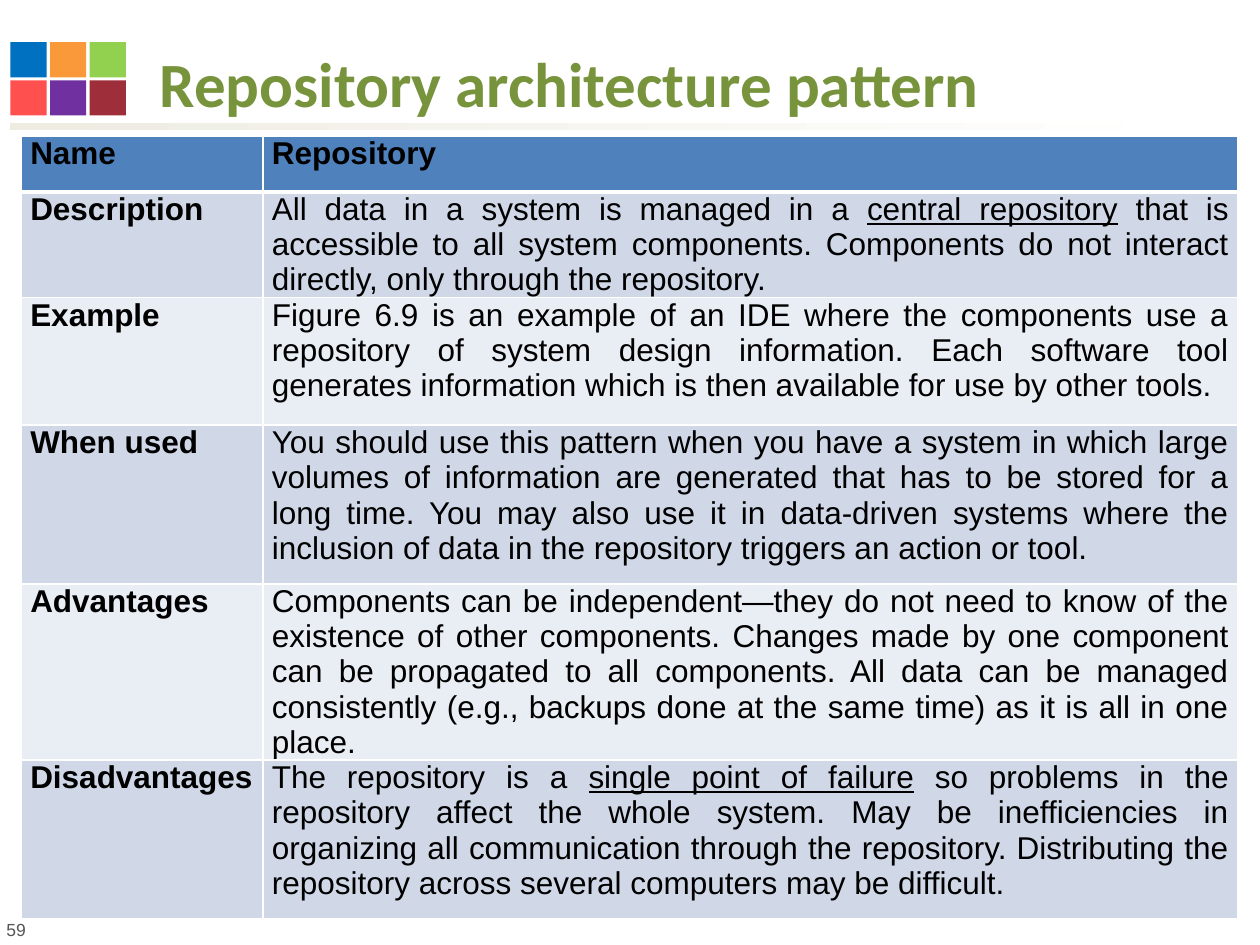
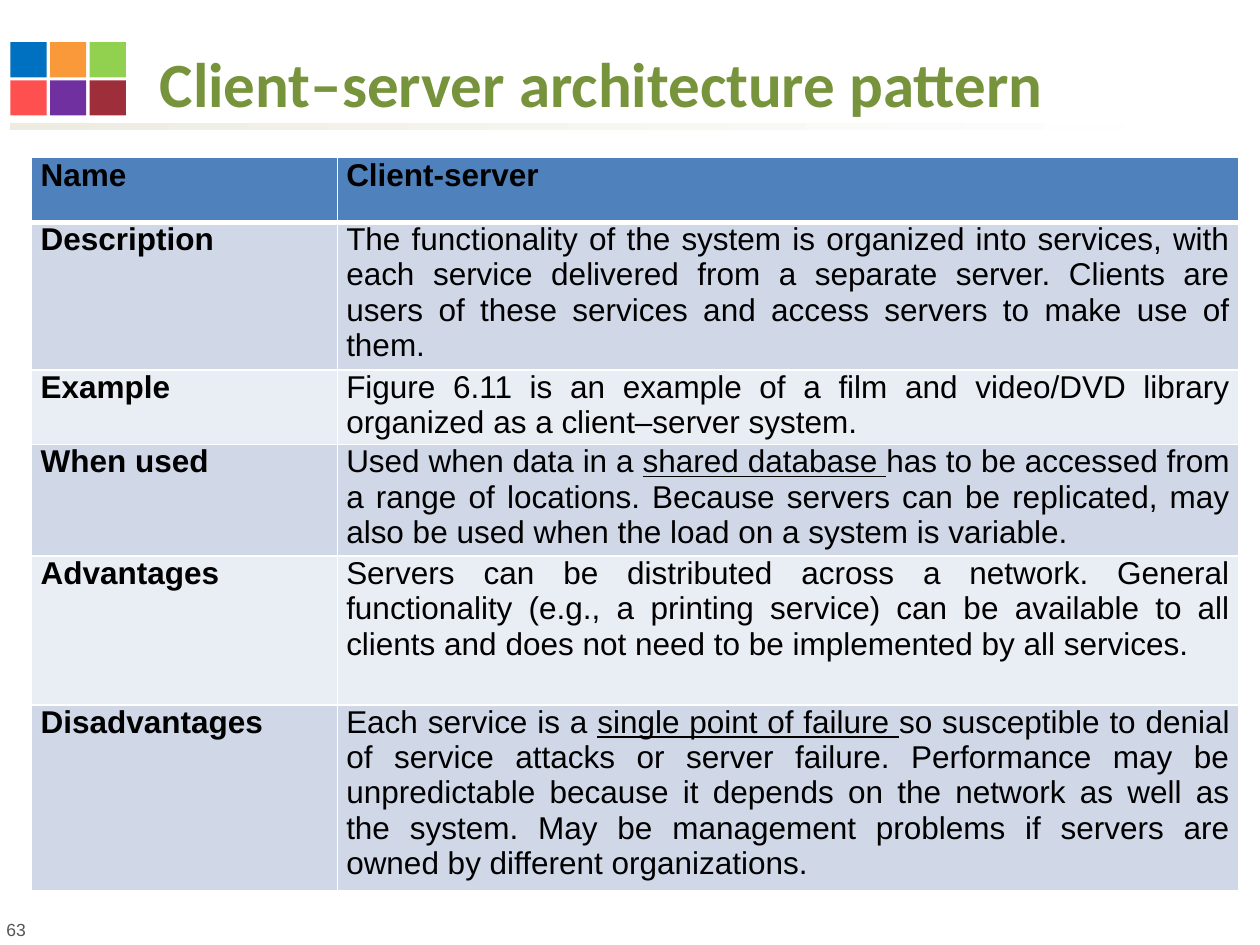
import pptx
import pptx.dml.color
import pptx.enum.shapes
import pptx.enum.text
import pptx.oxml
import pptx.oxml.ns
import pptx.util

Cm = pptx.util.Cm
Pt = pptx.util.Pt
RGB = pptx.dml.color.RGBColor
ALIGN = pptx.enum.text.PP_ALIGN
ANCHOR = pptx.enum.text.MSO_ANCHOR
RECTANGLE = pptx.enum.shapes.MSO_SHAPE.RECTANGLE

# Text between underscores is underlined.
SLIDES = [
    {
        "title": "Repository architecture pattern",
        "number": "59",
        "at": (0.43, 2.75),
        "columns": (4.87, 19.65),
        "heights": (1.12, 1.93, 2.57, 3.2, 3.2, 3.2),
        "rows": [
            ("Name", "Repository"),
            ("Description",
             "All data in a system is managed in a _central repository_ that is "
             "accessible to all system components. Components do not interact "
             "directly, only through the repository."),
            ("Example",
             "Figure 6.9 is an example of an IDE where the components use a "
             "repository of system design information. Each software tool "
             "generates information which is then available for use by other tools."),
            ("When used",
             "You should use this pattern when you have a system in which large "
             "volumes of information are generated that has to be stored for a "
             "long time. You may also use it in data-driven systems where the "
             "inclusion of data in the repository triggers an action or tool."),
            ("Advantages",
             "Components can be independent—they do not need to know of the "
             "existence of other components. Changes made by one component can "
             "be propagated to all components. All data can be managed "
             "consistently (e.g., backups done at the same time) as it is all "
             "in one place."),
            ("Disadvantages",
             "The repository is a _single point of failure_ so problems in the "
             "repository affect the whole system. May be inefficiencies in "
             "organizing all communication through the repository. Distributing "
             "the repository across several computers may be difficult."),
        ],
    },
    {
        "title": "Client–server architecture pattern",
        "number": "63",
        "at": (0.64, 3.18),
        "columns": (6.16, 18.17),
        "heights": (1.3, 2.98, 1.5, 2.25, 3, 3.75),
        "rows": [
            ("Name", "Client-server"),
            ("Description",
             "The functionality of the system is organized into services, with "
             "each service delivered from a separate server. Clients are users "
             "of these services and access servers to make use of them."),
            ("Example",
             "Figure 6.11 is an example of a film and video/DVD library "
             "organized as a client–server system."),
            ("When used",
             "Used when data in a _shared database _has to be accessed from a "
             "range of locations. Because servers can be replicated, may also "
             "be used when the load on a system is variable."),
            ("Advantages",
             "Servers can be distributed across a network. General "
             "functionality (e.g., a printing service) can be available to all "
             "clients and does not need to be implemented by all services."),
            ("Disadvantages",
             "Each service is a _single point of failure _so susceptible to "
             "denial of service attacks or server failure. Performance may be "
             "unpredictable because it depends on the network as well as the "
             "system. May be management problems if servers are owned by "
             "different organizations."),
        ],
    },
]

WHITE = RGB(0xFF, 0xFF, 0xFF)
BLACK = RGB(0, 0, 0)
TITLE_GREEN = RGB(0x77, 0x93, 0x3C)
NUMBER_GREY = RGB(0x55, 0x55, 0x55)
RULE_BEIGE = RGB(0xEE, 0xEC, 0xE1)
HEADER_BLUE = RGB(0x4F, 0x81, 0xBD)
BANDS = (RGB(0xE9, 0xED, 0xF4), RGB(0xD0, 0xD8, 0xE8))
TILES = [
    (RGB(0x00, 0x70, 0xC0), RGB(0xF9, 0x99, 0x39), RGB(0x92, 0xD0, 0x50)),
    (RGB(0xFF, 0x50, 0x50), RGB(0x70, 0x30, 0xA0), RGB(0x9E, 0x2E, 0x39)),
]
TABLE_LINE = Pt(20.15)  # fixed, so that rows grow only as far as their text


def write(tf, text, size=18, font="Arial", color=BLACK, bold=False,
          align=ALIGN.LEFT, line_spacing=None):
    p = tf.paragraphs[0]
    p.alignment = align
    p.line_spacing = line_spacing
    for i, part in enumerate(text.split("_")):
        r = p.add_run()
        r.text = part
        r.font.size = Pt(size)
        r.font.name = font
        r.font.bold = bold
        r.font.underline = i % 2 == 1
        r.font.color.rgb = color


def add_text(s, text, left, top, width, height, anchor=ANCHOR.TOP, **style):
    tf = s.shapes.add_textbox(Cm(left), Cm(top), Cm(width), Cm(height)).text_frame
    tf.word_wrap = True
    tf.vertical_anchor = anchor
    write(tf, text, **style)


def add_rectangle(s, left, top, width, height):
    sp = s.shapes.add_shape(RECTANGLE, Cm(left), Cm(top), Cm(width), Cm(height))
    sp.shadow.inherit = False
    sp.line.fill.background()
    return sp


def add_frame(s, title, number):
    """Draw what every slide shares: rule, tiles, title and number."""
    fill = add_rectangle(s, 0.2, 2.49, 24.08, 0.13).fill
    fill.gradient()
    fill.gradient_angle = 0
    for stop, color in zip(fill.gradient_stops, (RULE_BEIGE, WHITE)):
        stop.color.rgb = color
    for row, colors in enumerate(TILES):
        for col, color in enumerate(colors):
            tile = add_rectangle(s, 0.21 + 0.8 * col, 0.85 + 0.77 * row, 0.73, 0.71)
            tile.fill.solid()
            tile.fill.fore_color.rgb = color
    add_text(s, title, 2.97, 0.81, 22.02, 1.73, anchor=ANCHOR.BOTTOM,
             size=36, font="Calibri", color=TITLE_GREEN, bold=True)
    add_text(s, number, -0.12, 18.4, 14.73, 0.69, size=10, color=NUMBER_GREY)


def set_borders(cell, top, bottom):
    """Give a cell white borders; top and bottom are widths in points."""
    for side, width in (("L", 1), ("R", 1), ("T", top), ("B", bottom)):
        cell._tc.get_or_add_tcPr().append(pptx.oxml.parse_xml(
            f'<a:ln{side} {pptx.oxml.ns.nsdecls("a")} w="{Pt(width)}"><a:solidFill>'
            f'<a:srgbClr val="{WHITE}"/></a:solidFill></a:ln{side}>'))


def add_pattern_table(s, at, columns, heights, rows):
    left, top = at
    table = s.shapes.add_table(len(rows), len(columns), Cm(left), Cm(top),
                               Cm(sum(columns)), Cm(sum(heights))).table
    for column, width in zip(table.columns, columns):
        column.width = Cm(width)
    for i, (texts, height) in enumerate(zip(rows, heights)):
        table.rows[i].height = Cm(height)
        for j, text in enumerate(texts):
            cell = table.cell(i, j)
            cell.margin_left = cell.margin_right = Cm(0.18)
            cell.margin_top = cell.margin_bottom = 0
            set_borders(cell, top=3 if i == 1 else 1, bottom=3 if i == 0 else 1)
            cell.fill.solid()
            cell.fill.fore_color.rgb = BANDS[i % 2] if i else HEADER_BLUE
            write(cell.text_frame, text, bold=i == 0 or j == 0,
                  align=ALIGN.JUSTIFY, line_spacing=TABLE_LINE)


def main():
    prs = pptx.Presentation()
    prs.slide_width, prs.slide_height = Cm(25.4), Cm(19.05)
    for content in SLIDES:
        s = prs.slides.add_slide(prs.slide_layouts[6])
        add_frame(s, content["title"], content["number"])
        add_pattern_table(s, content["at"], content["columns"],
                          content["heights"], content["rows"])
    prs.save("out.pptx")


if __name__ == "__main__":
    main()
